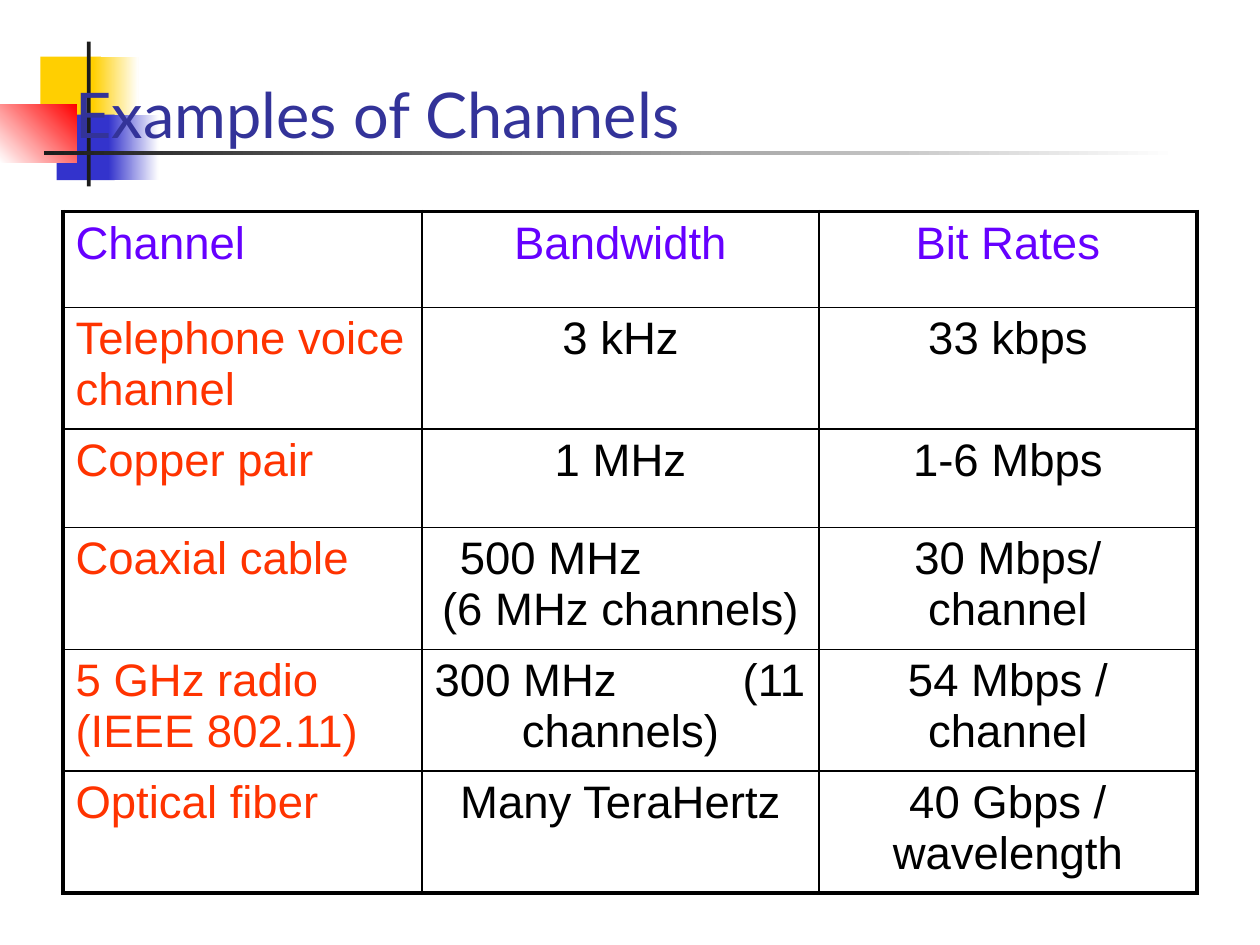
from collections import namedtuple
from dataclasses import dataclass

from lxml import etree
from pptx import Presentation
from pptx import util as u
from pptx.dml.color import RGBColor
from pptx.enum import shapes, text
from pptx.oxml.ns import qn


@dataclass(frozen=True)
class Theme:
    yellow: str = "FFCF01"
    blue: str = "3333CC"
    red: str = "FF0000"
    dark: str = "1C1C1C"
    white: str = "FFFFFF"
    title: str = "333399"
    heading: str = "6600FF"
    channel: str = "FF3300"
    value: str = "000000"
    border: str = "000000"
    title_font: str = "Lato"
    body_font: str = "Arial"
    title_size: int = 36
    body_size: int = 26
    outer_line: float = 2.25
    inner_line: float = 1


THEME = Theme()
Line = namedtuple("Line", "words align indent tab", defaults=(text.PP_ALIGN.CENTER, 0, 0))
LEFT = text.PP_ALIGN.LEFT

COLUMN_WIDTHS = (2.85, 3.15, 3)
ROW_HEIGHTS = (0.76, 0.85, 0.78, 0.81, 0.85, 0.85)
CHANNELS = (
    ("Channel", "Bandwidth", "Bit Rates"),
    ("Telephone voice channel", "3 kHz", "33 kbps"),
    ("Copper pair", "1 MHz", "1-6 Mbps"),
    ("Coaxial cable",
     (Line("500 MHz", LEFT, indent=0.2), Line("(6 MHz channels)")),
     "30 Mbps/ channel"),
    ("5 GHz radio (IEEE 802.11)",
     (Line("300 MHz\t(11", LEFT, tab=2.94), Line("channels)")),
     "54 Mbps / channel"),
    ("Optical fiber", "Many TeraHertz", "40 Gbps / wavelength"),
)


def add_run(paragraph, words, font, size, color):
    run = paragraph.add_run()
    run.text = words
    run.font.name = font
    run.font.size = u.Pt(size)
    run.font.color.rgb = RGBColor.from_string(color)


def add_block(slide, box, start, end=None, angle=0):
    block = slide.shapes.add_shape(
        shapes.MSO_SHAPE.RECTANGLE, *(u.Inches(length) for length in box))
    block.shadow.inherit = False
    block.line.fill.background()
    if end is None:
        block.fill.solid()
        block.fill.fore_color.rgb = RGBColor.from_string(start)
        return
    block.fill.gradient()
    block.fill.gradient_angle = angle
    for stop, color in zip(block.fill.gradient_stops, (start, end)):
        stop.color.rgb = RGBColor.from_string(color)


def add_ornament(slide):
    add_block(slide, (0.32, 0.45, 0.48, 0.52), THEME.yellow)
    add_block(slide, (0.74, 0.45, 0.36, 0.52), THEME.yellow, THEME.white)
    add_block(slide, (0.45, 0.91, 0.46, 0.52), THEME.blue)
    add_block(slide, (0.86, 0.91, 0.4, 0.52), THEME.blue, THEME.white)
    add_block(slide, (0, 0.83, 0.61, 0.46), THEME.white, THEME.red, angle=45)
    add_block(slide, (0.69, 0.33, 0.03, 1.15), THEME.dark)
    add_block(slide, (0.35, 1.2, 9, 0.03), THEME.dark, THEME.white)


def add_title(slide, words):
    title = slide.shapes.add_textbox(
        u.Inches(0.5), u.Inches(0.13), u.Inches(8.25), u.Inches(1.12))
    frame = title.text_frame
    frame.word_wrap = True
    frame.vertical_anchor = text.MSO_ANCHOR.BOTTOM
    add_run(frame.paragraphs[0], words, THEME.title_font, THEME.title_size, THEME.title)


def set_borders(cell, outer_sides):
    properties = cell._tc.get_or_add_tcPr()
    for side in "LRTB":
        width = THEME.outer_line if side in outer_sides else THEME.inner_line
        border = etree.SubElement(properties, qn(f"a:ln{side}"), w=str(u.Pt(width)))
        fill = etree.SubElement(border, qn("a:solidFill"))
        etree.SubElement(fill, qn("a:srgbClr"), val=THEME.border)


def fill_cell(cell, lines, color):
    frame = cell.text_frame
    for index, line in enumerate(lines):
        paragraph = frame.add_paragraph() if index else frame.paragraphs[0]
        paragraph.alignment = line.align
        properties = paragraph._p.get_or_add_pPr()
        if line.indent:
            properties.set("marL", str(u.Inches(line.indent)))
        if line.tab:
            tabs = etree.SubElement(properties, qn("a:tabLst"))
            etree.SubElement(tabs, qn("a:tab"), pos=str(u.Inches(line.tab)), algn="r")
        add_run(paragraph, line.words, THEME.body_font, THEME.body_size, color)


def add_channel_table(slide):
    table = slide.shapes.add_table(
        len(ROW_HEIGHTS), len(COLUMN_WIDTHS), u.Inches(0.5), u.Inches(1.68),
        u.Inches(sum(COLUMN_WIDTHS)), u.Inches(sum(ROW_HEIGHTS))).table
    table.first_row = table.horz_banding = False
    for column, width in zip(table.columns, COLUMN_WIDTHS):
        column.width = u.Inches(width)
    for row, height in zip(table.rows, ROW_HEIGHTS):
        row.height = u.Inches(height)
    last_row, last_column = len(ROW_HEIGHTS) - 1, len(COLUMN_WIDTHS) - 1
    for r, entries in enumerate(CHANNELS):
        for c, entry in enumerate(entries):
            cell = table.cell(r, c)
            edges = {"T": r == 0, "B": r == last_row, "L": c == 0, "R": c == last_column}
            set_borders(cell, [side for side, outer in edges.items() if outer])
            cell.fill.background()
            if isinstance(entry, str):
                entry = (Line(entry, text.PP_ALIGN.CENTER if c else LEFT),)
            color = THEME.value if c else THEME.channel
            fill_cell(cell, entry, color if r else THEME.heading)


def main():
    deck = Presentation()
    deck.slide_width, deck.slide_height = u.Inches(10), u.Inches(7.5)
    slide = deck.slides.add_slide(deck.slide_layouts[6])
    add_ornament(slide)
    add_title(slide, "Examples of Channels")
    add_channel_table(slide)
    deck.save("out.pptx")


if __name__ == "__main__":
    main()
